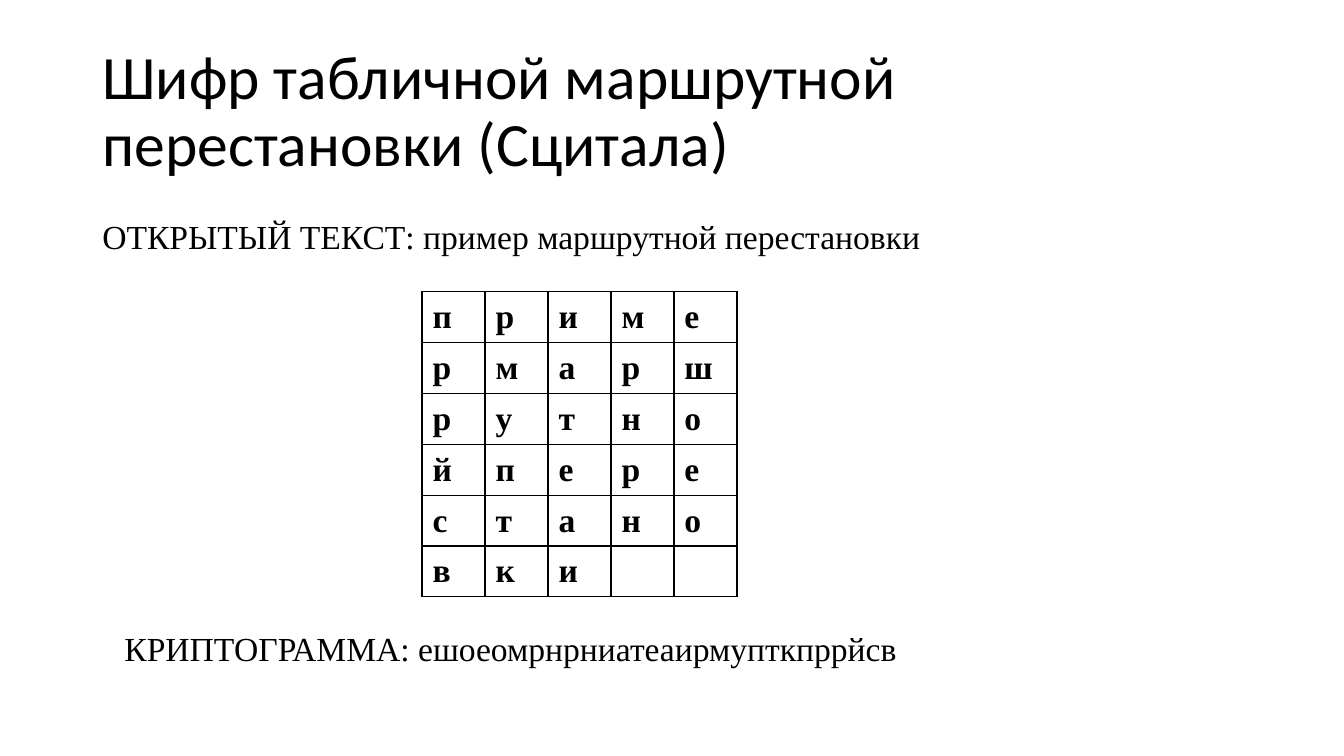
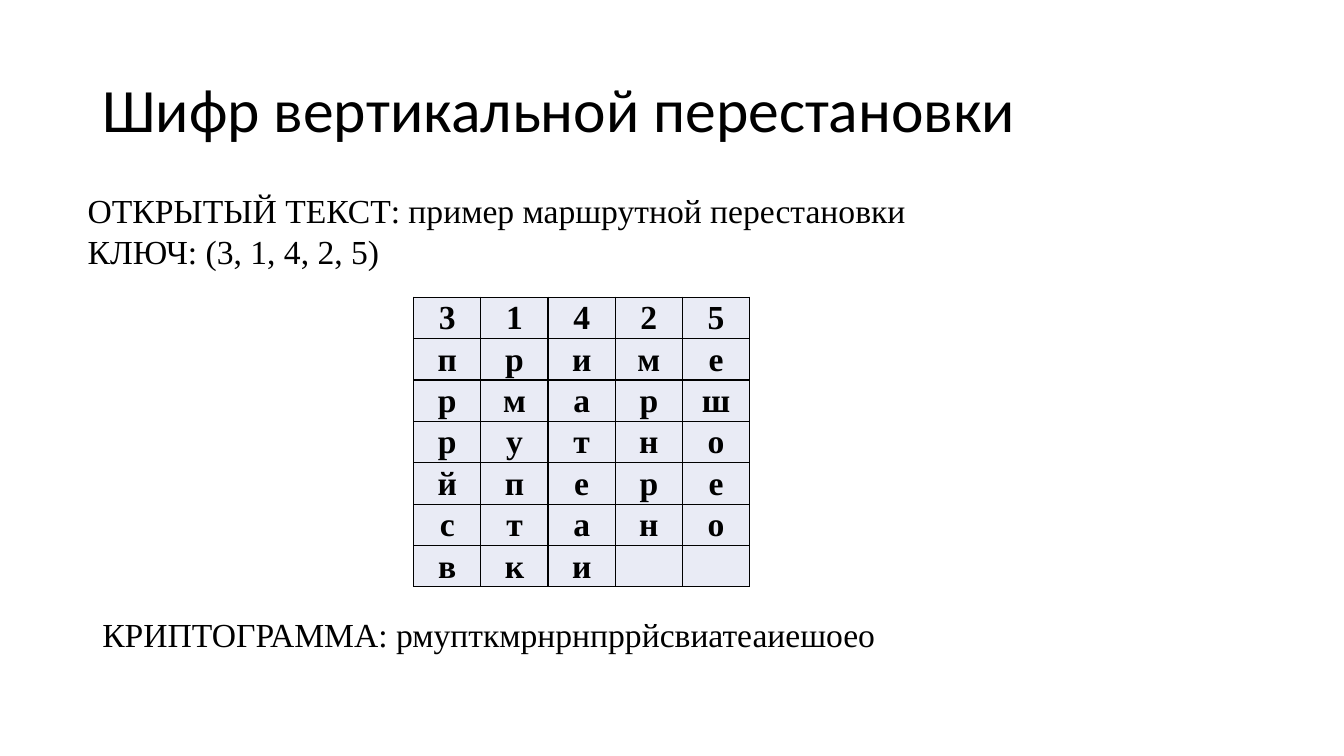
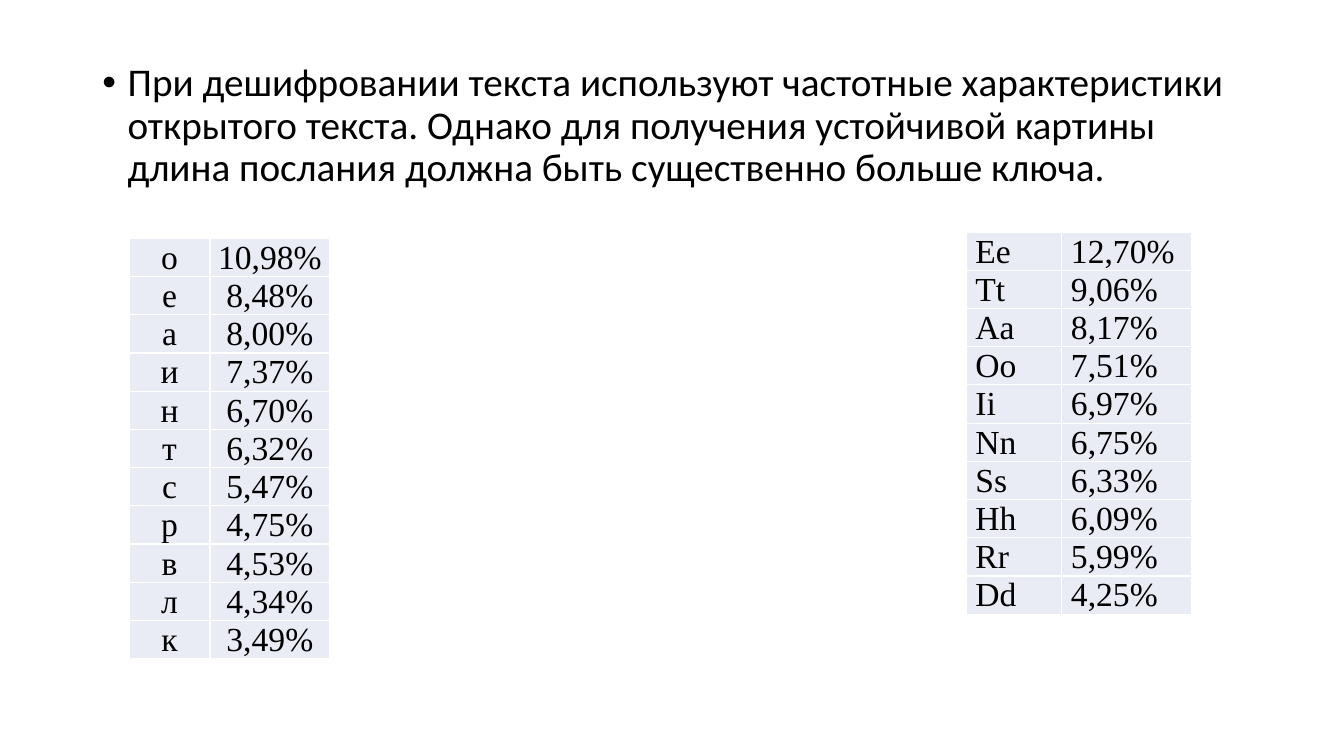
import dataclasses

import pptx
import pptx.dml.color
import pptx.enum.text
import pptx.oxml.ns
import pptx.util
from lxml import etree

ALIGN = pptx.enum.text.PP_ALIGN
ANCHOR = pptx.enum.text.MSO_ANCHOR
FIT = pptx.enum.text.MSO_AUTO_SIZE
SCALE = 9525


@dataclasses.dataclass(frozen=True)
class Theme:
    ink: str = "000000"
    white: str = "FFFFFF"
    tint: str = "E9EBF5"
    sans: str = "Calibri"
    serif: str = "Times New Roman"
    title: int = 44
    body: int = 28
    text: int = 24
    lead: float = 0.9


THEME = Theme()
TITLE = (88, 38, 1104, 139)
PLAIN = "ОТКРЫТЫЙ ТЕКСТ: пример маршрутной перестановки"
ROWS = ["приме", "рмарш", "рутно", "йпере", "стано", "вки"]
RUS = [
    ("о", "10,98%"), ("е", "8,48%"), ("а", "8,00%"), ("и", "7,37%"),
    ("н", "6,70%"), ("т", "6,32%"), ("с", "5,47%"), ("р", "4,75%"),
    ("в", "4,53%"), ("л", "4,34%"), ("к", "3,49%"),
]
ENG = [
    ("Ee", "12,70%"), ("Tt", "9,06%"), ("Aa", "8,17%"), ("Oo", "7,51%"),
    ("Ii", "6,97%"), ("Nn", "6,75%"), ("Ss", "6,33%"), ("Hh", "6,09%"),
    ("Rr", "5,99%"), ("Dd", "4,25%"),
]


def px(num):
    return pptx.util.Emu(round(num * SCALE))


def color(code):
    return pptx.dml.color.RGBColor.from_string(code)


def style(frame, face, size, bold=False, align=ALIGN.LEFT):
    for para in frame.paragraphs:
        para.alignment = align
        for run in para.runs:
            run.font.name = face
            run.font.size = pptx.util.Pt(size)
            run.font.bold = bold
            run.font.color.rgb = color(THEME.ink)


def place(shape, box):
    shape.left, shape.top, shape.width, shape.height = map(px, box)


def holder(shape, box, text, size, anchor):
    place(shape, box)
    frame = shape.text_frame
    frame.text = text
    frame.auto_size = FIT.NONE
    frame.vertical_anchor = anchor
    style(frame, THEME.sans, size)
    frame.paragraphs[0].line_spacing = THEME.lead
    return frame.paragraphs[0]


def label(slide, box, text):
    frame = slide.shapes.add_textbox(*map(px, box)).text_frame
    frame.text = text
    frame.word_wrap = False
    frame.auto_size = FIT.SHAPE_TO_FIT_TEXT
    frame.vertical_anchor = ANCHOR.MIDDLE
    style(frame, THEME.serif, THEME.text)


def border(cell, code):
    props = cell._tc.get_or_add_tcPr()
    for side in ("a:lnL", "a:lnR", "a:lnT", "a:lnB"):
        line = etree.SubElement(props, pptx.oxml.ns.qn(side), w="12700")
        fill = etree.SubElement(line, pptx.oxml.ns.qn("a:solidFill"))
        etree.SubElement(fill, pptx.oxml.ns.qn("a:srgbClr"), val=code)


def grid(slide, box, rows, cols, line, fill=None, bold=False,
         align=ALIGN.LEFT, anchor=ANCHOR.MIDDLE, pads=(1, 1, 1, 0)):
    frame = slide.shapes.add_table(len(rows), len(cols), *map(px, box))
    table = frame.table
    table.first_row = table.horz_banding = False
    for col, width in zip(table.columns, cols):
        col.width = px(width)
    for row, texts in zip(table.rows, rows):
        row.height = px(box[3] / len(rows))
        for cell in row.cells:
            border(cell, line)
            if fill:
                cell.fill.solid()
                cell.fill.fore_color.rgb = color(fill)
            else:
                cell.fill.background()
            (cell.margin_left, cell.margin_top,
             cell.margin_right, cell.margin_bottom) = map(px, pads)
            cell.vertical_anchor = anchor
        for cell, text in zip(row.cells, texts):
            cell.text_frame.text = text
            style(cell.text_frame, THEME.serif, THEME.text, bold, align)


def cipher(deck, title, top, code):
    slide = deck.slides.add_slide(deck.slide_layouts[5])
    holder(slide.shapes.title, TITLE, title, THEME.title, ANCHOR.MIDDLE)
    label(slide, *top)
    label(slide, *code)
    return slide


def route(deck):
    slide = cipher(
        deck, "Шифр табличной маршрутной перестановки (Сцитала)",
        ((88, 201, 814, 48), PLAIN),
        ((109, 593, 771, 48), "КРИПТОГРАММА: ешоеомрнрниатеаирмупткпррйсв"))
    grid(slide, (402, 278, 300, 288), ROWS, [60] * 5, THEME.ink,
         bold=True, pads=(10, 5, 10, 5))


def column(deck):
    slide = cipher(
        deck, "Шифр вертикальной перестановки",
        ((74, 176, 814, 87), PLAIN + "\nКЛЮЧ: (3, 1, 4, 2, 5)"),
        ((88, 580, 772, 48), "КРИПТОГРАММА: рмупткмрнрнпррйсвиатеаиешоео"))
    grid(slide, (394, 283, 320, 276), ["31425"] + ROWS, [64] * 5, THEME.ink,
         THEME.tint, bold=True, align=ALIGN.CENTER)


def counts(deck):
    slide = deck.slides.add_slide(deck.slide_layouts[1])
    title = slide.shapes.title
    title.element.getparent().remove(title.element)
    para = holder(
        slide.placeholders[1], (88, 55, 1104, 457),
        "При дешифровании текста используют частотные характеристики "
        "открытого текста. Однако для получения устойчивой картины "
        "длина послания должна быть существенно больше ключа.",
        THEME.body, ANCHOR.TOP)
    para.space_before = pptx.util.Pt(10)
    props = para._p.get_or_add_pPr()
    props.set("marL", str(px(24)))
    props.set("indent", str(px(-24)))
    etree.SubElement(props, pptx.oxml.ns.qn("a:buFont"), typeface="Arial")
    etree.SubElement(props, pptx.oxml.ns.qn("a:buChar"), char="•")
    grid(slide, (123, 227, 191, 400), RUS, [77, 114], THEME.white,
         THEME.tint, align=ALIGN.CENTER, anchor=ANCHOR.TOP)
    grid(slide, (920, 221, 215, 363), ENG, [91, 124], THEME.white,
         THEME.tint, pads=(9, 1, 1, 0))


def main():
    deck = pptx.Presentation()
    deck.slide_width, deck.slide_height = px(1280), px(720)
    for build in (route, column, counts):
        build(deck)
    deck.save("out.pptx")


if __name__ == "__main__":
    main()
